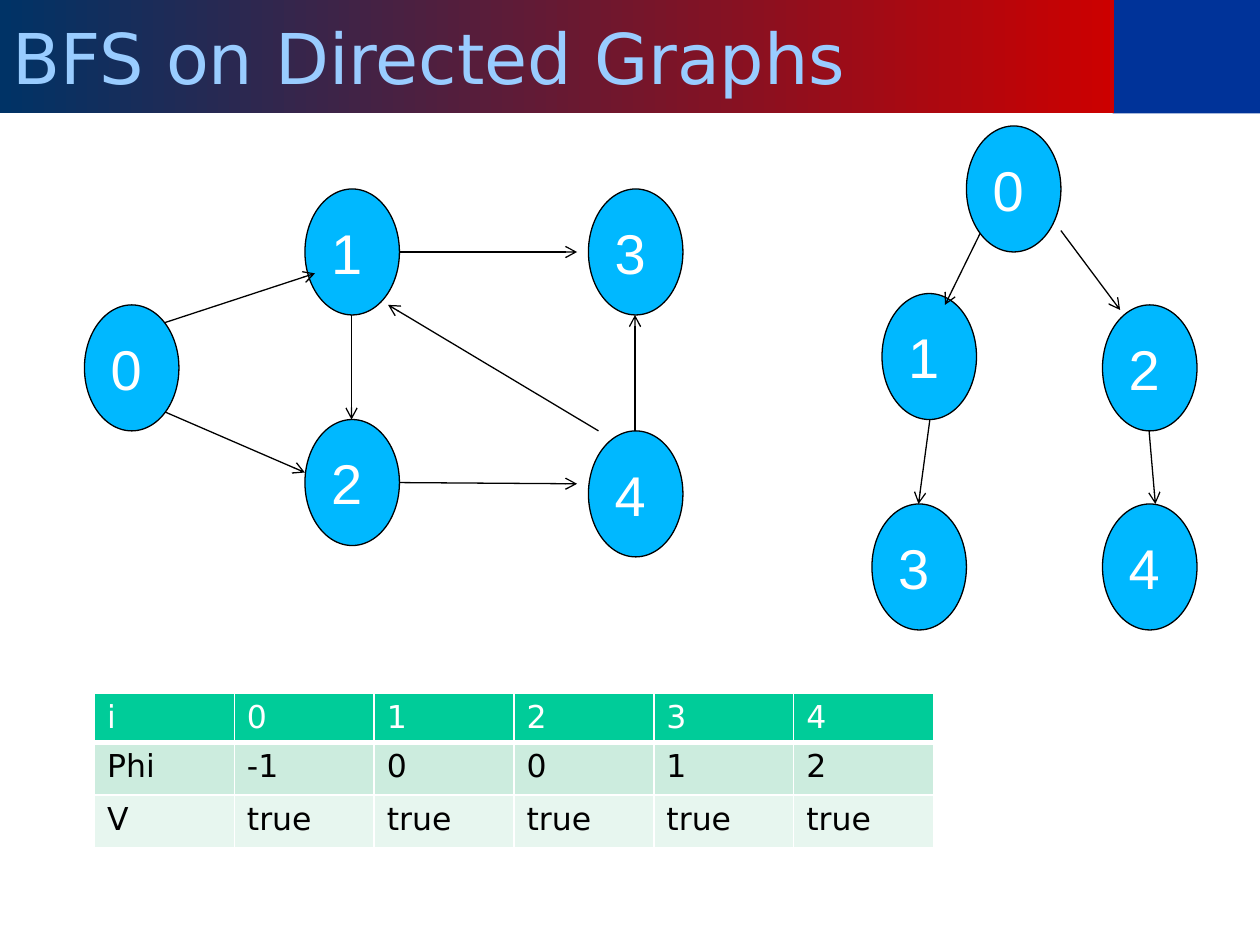
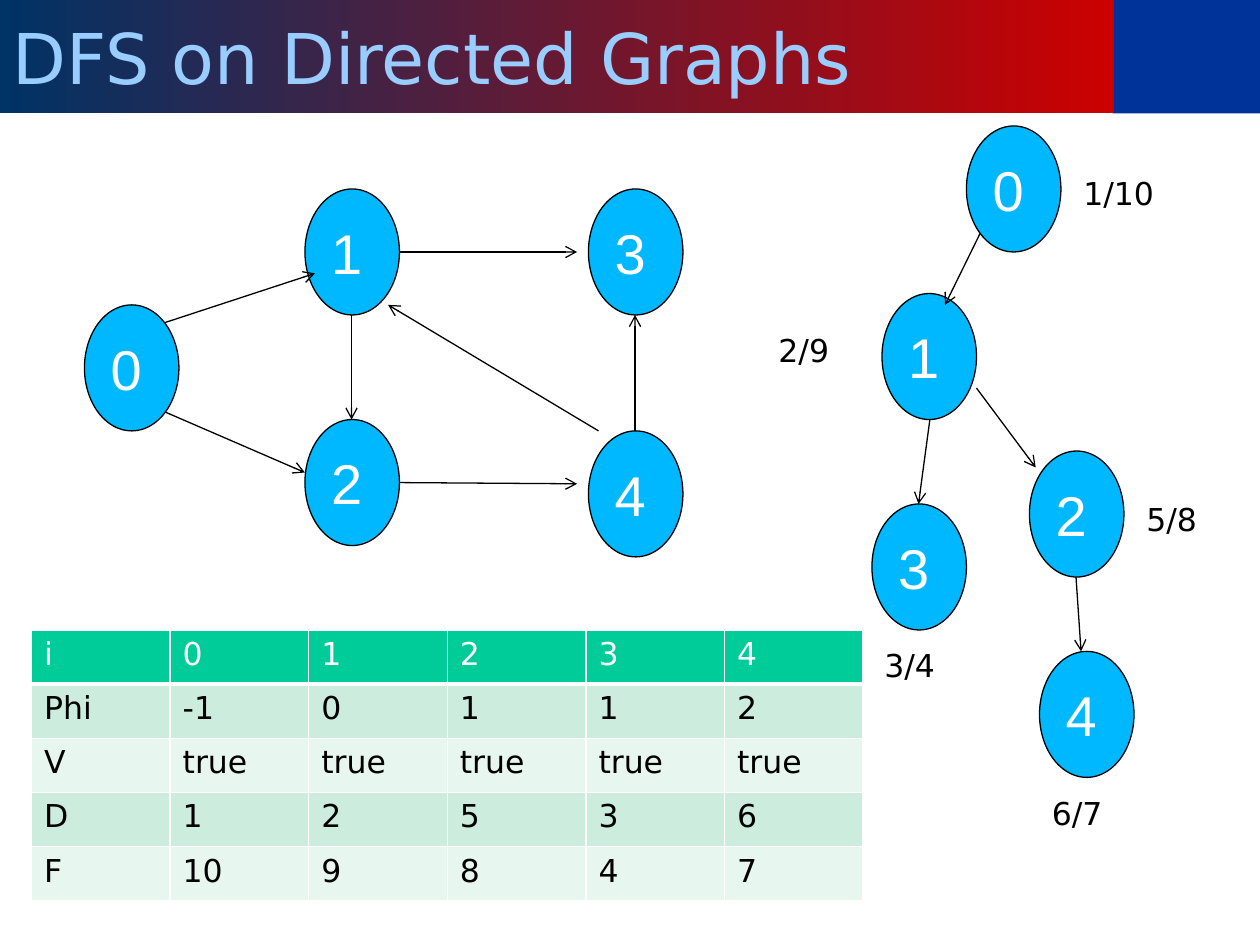
from typing import NamedTuple

from lxml import etree
from pptx import Presentation
from pptx.dml.color import RGBColor
from pptx.enum.shapes import MSO_CONNECTOR, MSO_SHAPE
from pptx.enum.text import MSO_ANCHOR, PP_ALIGN
from pptx.oxml.ns import qn
from pptx.util import Inches, Pt

STRAIGHT = MSO_CONNECTOR.STRAIGHT
ELLIPSE, RECTANGLE = MSO_SHAPE.OVAL, MSO_SHAPE.RECTANGLE
MIDDLE = MSO_ANCHOR.MIDDLE
LEFT = PP_ALIGN.LEFT

# Shared look
WHITE, BLACK = "FFFFFF", "000000"
NODE_BLUE, BAND_BLUE = "00B8FF", "003399"
TITLE_TEXT, TITLE_START, TITLE_END = "99CCFF", "003366", "CC0000"
HEADER_GREEN, ROW_GREENS = "00CC99", ("CCECDE", "E7F6EF")
BODY_FONT, NODE_FONT = "DejaVu Sans", "Arial"
NODE_WIDTH, NODE_HEIGHT = 0.75, 1
TITLE_WIDTH, BAND_HEIGHT = 8.84, 0.9


class Node(NamedTuple):
    name: str
    left: float
    top: float


class Edge(NamedTuple):
    start: tuple[float, float]
    end: tuple[float, float]


class Label(NamedTuple):
    text: str
    left: float
    top: float
    width: float = 0.64


class Grid(NamedTuple):
    left: float
    top: float
    column_width: float
    row_heights: list[float]
    rows: list[list[str]]


class Page(NamedTuple):
    title: str
    nodes: list[Node]
    edges: list[Edge]
    grid: Grid
    labels: list[Label]


# The directed graph that both searches walk through
GRAPH_NODES = [
    Node("4", 4.67, 3.42), Node("3", 4.67, 1.5), Node("2", 2.42, 3.33),
    Node("1", 2.42, 1.5), Node("0", 0.67, 2.42),
]
GRAPH_EDGES = [
    Edge((1.31, 2.56), (2.5, 2.17)), Edge((1.31, 3.27), (2.42, 3.75)),
    Edge((2.79, 2.5), (2.79, 3.33)), Edge((3.17, 2), (4.58, 2)),
    Edge((3.17, 3.83), (4.58, 3.84)), Edge((4.75, 3.42), (3.08, 2.42)),
    Edge((5.04, 3.42), (5.04, 2.5)),
]

# The branch 0-1-3 that both search trees contain
BRANCH_NODES = [Node("0", 7.67, 1), Node("1", 7, 2.33), Node("3", 6.92, 4)]
BRANCH_EDGES = [Edge((7.78, 1.85), (7.5, 2.42)), Edge((7.38, 3.33), (7.29, 4))]

HEADER = ["i", "0", "1", "2", "3", "4"]
VISITED = ["V"] + ["true"] * 5

PAGES = [
    Page(
        "BFS on Directed Graphs",
        [Node("2", 8.75, 2.42), Node("4", 8.75, 4)],
        [Edge((8.42, 1.83), (8.89, 2.46)), Edge((9.12, 3.42), (9.17, 4))],
        Grid(0.75, 5.5, 1.11, [0.34, 0.42, 0.42],
             [HEADER, ["Phi", "-1", "0", "0", "1", "2"], VISITED]),
        [],
    ),
    Page(
        "DFS on Directed Graphs",
        [Node("2", 8.17, 3.58), Node("4", 8.25, 5.17)],
        [Edge((7.75, 3.08), (8.22, 3.71)), Edge((8.54, 4.58), (8.58, 5.17))],
        Grid(0.25, 5, 1.1, [0.43] * 5,
             [HEADER, ["Phi", "-1", "0", "1", "1", "2"], VISITED,
              ["D", "1", "2", "5", "3", "6"], ["F", "10", "9", "8", "4", "7"]]),
        [Label("2/9", 6.08, 2.58), Label("1/10", 8.5, 1.33, 0.8),
         Label("5/8", 9, 3.92), Label("3/4", 6.92, 5.08, 0.8),
         Label("6/7", 8.25, 6.25)],
    ),
]


def rgb(value: str) -> RGBColor:
    return RGBColor.from_string(value)


def write(frame, text: str, size: float, color: str, font: str = BODY_FONT) -> None:
    frame.text = text
    para = frame.paragraphs[0]
    para.alignment = LEFT
    span = para.runs[0].font
    span.name, span.size, span.bold = font, Pt(size), False
    span.color.rgb = rgb(color)


def add_band(deck, slide) -> None:
    """Put the blue corner on the master, behind everything."""
    band = slide.shapes.add_shape(RECTANGLE, Inches(8.83), 0, Inches(1.17),
                                  Inches(BAND_HEIGHT))
    band.shadow.inherit = False
    band.fill.solid()
    band.fill.fore_color.rgb = rgb(BAND_BLUE)
    band.line.fill.background()
    band.element.nvSpPr.cNvPr.set("id", "100")
    deck.slide_master.shapes.element.insert(2, band.element)


def format_title(slide, text: str) -> None:
    title = slide.shapes.title
    title.left, title.top = 0, 0
    title.width, title.height = Inches(TITLE_WIDTH), Inches(BAND_HEIGHT)
    title.fill.gradient()
    title.fill.gradient_angle = 0
    for stop, color in zip(title.fill.gradient_stops, (TITLE_START, TITLE_END)):
        stop.color.rgb = rgb(color)
    title.text_frame.vertical_anchor = MIDDLE
    write(title.text_frame, text, 40, TITLE_TEXT)


def add_node(slide, node: Node) -> None:
    circle = slide.shapes.add_shape(ELLIPSE, Inches(node.left), Inches(node.top),
                                    Inches(NODE_WIDTH), Inches(NODE_HEIGHT))
    circle.shadow.inherit = False
    circle.fill.solid()
    circle.fill.fore_color.rgb = rgb(NODE_BLUE)
    circle.line.color.rgb = rgb(BLACK)
    circle.line.width = Pt(0.75)
    circle.text_frame.vertical_anchor = MIDDLE
    write(circle.text_frame, node.name, 32, WHITE, NODE_FONT)


def add_edge(slide, edge: Edge) -> None:
    ends = [Inches(value) for value in (*edge.start, *edge.end)]
    arrow = slide.shapes.add_connector(STRAIGHT, *ends)
    arrow.line.color.rgb = rgb(BLACK)
    arrow.line.width = Pt(0.75)
    properties = arrow.element.spPr
    etree.SubElement(properties.find(qn("a:ln")), qn("a:tailEnd"), type="arrow")
    etree.SubElement(properties, qn("a:effectLst"))


def add_label(slide, label: Label) -> None:
    box = slide.shapes.add_textbox(Inches(label.left), Inches(label.top),
                                   Inches(label.width), Inches(0.4))
    box.text_frame.word_wrap = True
    write(box.text_frame, label.text, 18, BLACK)


def set_borders(cell, bottom: float) -> None:
    properties = cell._tc.get_or_add_tcPr()
    for side, width in (("L", 1), ("R", 1), ("T", 1), ("B", bottom)):
        line = etree.SubElement(properties, qn(f"a:ln{side}"), w=str(Pt(width)))
        fill = etree.SubElement(line, qn("a:solidFill"))
        etree.SubElement(fill, qn("a:srgbClr"), val=WHITE)


def add_grid(slide, grid: Grid) -> None:
    columns = len(grid.rows[0])
    table = slide.shapes.add_table(
        len(grid.rows), columns, Inches(grid.left), Inches(grid.top),
        Inches(grid.column_width * columns), Inches(sum(grid.row_heights))).table
    for column in table.columns:
        column.width = Inches(grid.column_width)
    for index, texts in enumerate(grid.rows):
        table.rows[index].height = Inches(grid.row_heights[index])
        is_header = index == 0
        for column, text in enumerate(texts):
            cell = table.cell(index, column)
            set_borders(cell, 3 if is_header else 1)
            cell.fill.solid()
            cell.fill.fore_color.rgb = rgb(
                HEADER_GREEN if is_header else ROW_GREENS[(index - 1) % 2])
            write(cell.text_frame, text, 18, WHITE if is_header else BLACK)


def add_page(deck, page: Page):
    slide = deck.slides.add_slide(deck.slide_layouts.get_by_name("Title Only"))
    format_title(slide, page.title)
    for node in GRAPH_NODES + BRANCH_NODES + page.nodes:
        add_node(slide, node)
    for edge in GRAPH_EDGES + BRANCH_EDGES + page.edges:
        add_edge(slide, edge)
    add_grid(slide, page.grid)
    for label in page.labels:
        add_label(slide, label)
    return slide


def main() -> None:
    deck = Presentation()
    deck.slide_width, deck.slide_height = Inches(10), Inches(7.5)
    slides = [add_page(deck, page) for page in PAGES]
    add_band(deck, slides[0])
    deck.save("out.pptx")


if __name__ == "__main__":
    main()
